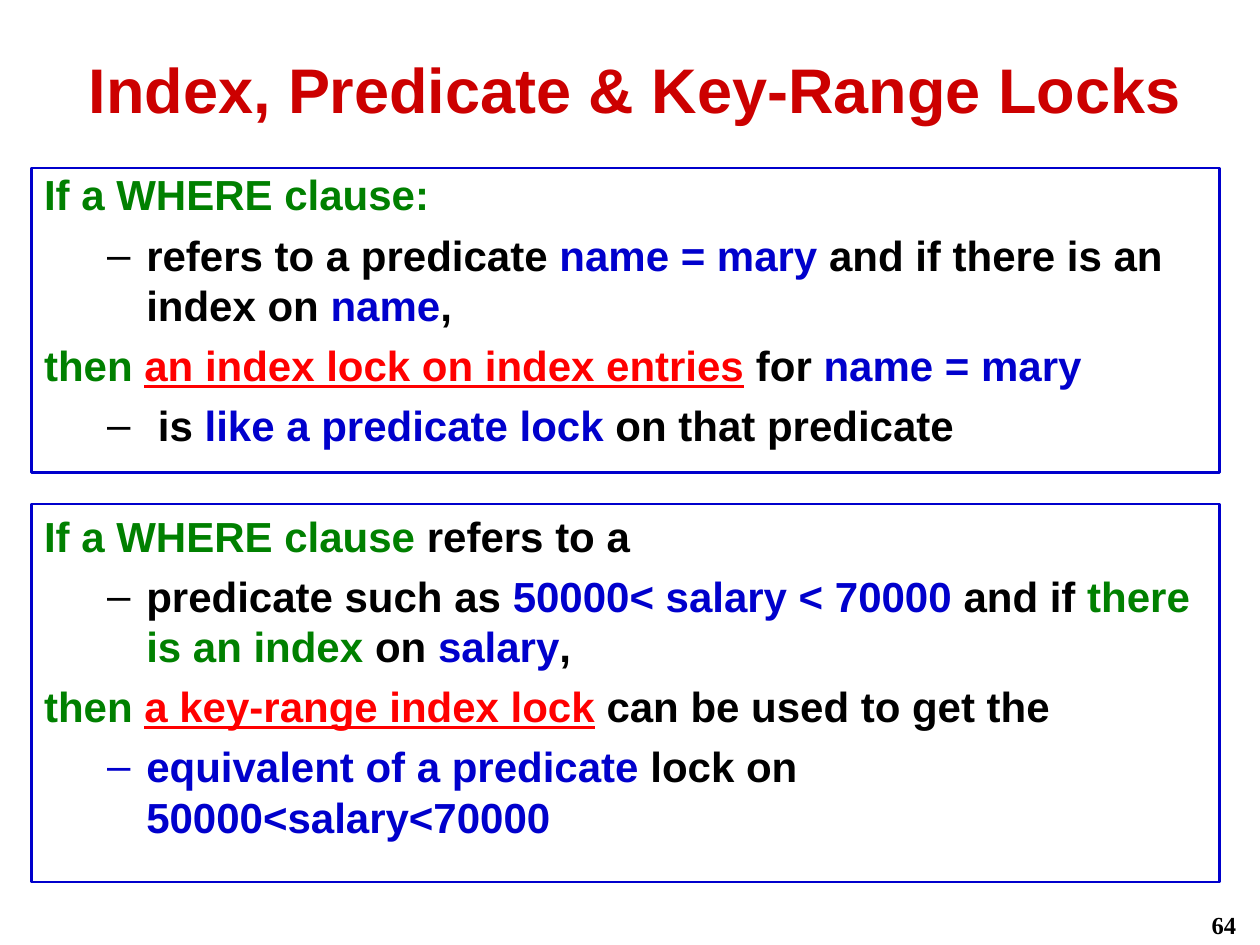
from lxml import etree
from pptx import Presentation
from pptx.dml.color import RGBColor
from pptx.enum.shapes import MSO_SHAPE
from pptx.enum.text import MSO_ANCHOR, PP_ALIGN
from pptx.oxml.ns import qn
from pptx.util import Cm, Pt

RECT = MSO_SHAPE.RECTANGLE
TOP, MIDDLE = MSO_ANCHOR.TOP, MSO_ANCHOR.MIDDLE
LEFT, CENTER, RIGHT = PP_ALIGN.LEFT, PP_ALIGN.CENTER, PP_ALIGN.RIGHT

THEME = {
    "title": {"name": "Arial", "size": Pt(36), "bold": True},
    "body": {"name": "Arial", "size": Pt(24), "bold": True},
    "page": {"name": "Times New Roman", "size": Pt(14), "bold": True},
    "crimson": "CC0000", "green": "008000", "blue": "0000CC",
    "red": "FF0000", "black": "000000",
    "gap": Pt(5.5), "line": Pt(1.5),
}

TITLE = "Index, Predicate & Key-Range Locks"
PAGE = "64"

# Each paragraph: level, then (text, colour) runs; red runs are underlined.
INDEX = [
    (0, [("If a WHERE clause:", "green")]),
    (1, [("refers to a predicate ", "black"), ("name = mary", "blue"),
         (" and if there is an index on", "black"), (" name", "blue"),
         (",", "black")]),
    (0, [("then ", "green"), ("an index lock on index entries", "red"),
         (" for ", "black"), ("name = mary", "blue")]),
    (1, [(" is ", "black"), ("like a predicate lock", "blue"),
         (" on that predicate", "black")]),
]
RANGE = [
    (0, [("If a WHERE clause", "green"), (" refers to a", "black")]),
    (1, [("predicate such as ", "black"), ("50000< salary < 70000", "blue"),
         (" and if ", "black"), ("there is an index", "green"),
         (" on ", "black"), ("salary", "blue"), (",", "black")]),
    (0, [("then ", "green"), ("a key-range index lock", "red"),
         (" can be used to get the", "black")]),
    (1, [("equivalent of a predicate", "blue"), (" lock on ", "black"),
         ("50000<salary<70000", "blue")]),
]

# Top, height and first-line spacing of each panel
PANELS = [(INDEX, 3.39, 6.14, 0.9), (RANGE, 10.16, 7.62, 1.0)]
# Left margin and first-line indent by level
INDENTS = [(0.95, -0.95), (2.06, -0.79)]


def tint(name):
    return RGBColor.from_string(THEME[name])


def style(font, kind, hue):
    for key, value in THEME[kind].items():
        setattr(font, key, value)
    font.color.rgb = tint(hue)


def frame(shape, anchor):
    box = shape.text_frame
    form = {"word_wrap": True, "vertical_anchor": anchor,
            "margin_left": Cm(0.25), "margin_right": Cm(0.25),
            "margin_top": Cm(0.13), "margin_bottom": Cm(0.13)}
    for key, value in form.items():
        setattr(box, key, value)
    return box


def label(shape, text, kind, hue, align, anchor):
    """Fill a shape with one line of text."""
    para = frame(shape, anchor).paragraphs[0]
    para.alignment = align
    run = para.add_run()
    run.text = text
    style(run.font, kind, hue)


def indent(para, level):
    left, first = INDENTS[level]
    props = para._p.get_or_add_pPr()
    props.set("marL", str(Cm(left)))
    props.set("indent", str(Cm(first)))
    if level:
        etree.SubElement(props, qn("a:buFont"), typeface="Arial")
        etree.SubElement(props, qn("a:buChar"), char="–")
    else:
        etree.SubElement(props, qn("a:buNone"))


def panel(slide, paras, top, height, lead):
    shape = slide.shapes.add_shape(RECT, Cm(0.64), Cm(top), Cm(23.95), Cm(height))
    shape.shadow.inherit = False
    shape.fill.background()
    shape.line.color.rgb = tint("blue")
    shape.line.width = THEME["line"]
    box = frame(shape, TOP)
    for n, (level, runs) in enumerate(paras):
        para = box.add_paragraph() if n else box.paragraphs[0]
        para.level = level
        para.alignment = LEFT
        indent(para, level)
        if n:
            para.space_before = THEME["gap"]
        else:
            para.line_spacing = lead
        style(para.font, "body", runs[0][1])
        for text, hue in runs:
            run = para.add_run()
            run.text = text
            style(run.font, "body", hue)
            if hue == "red":
                run.font.underline = True


def main():
    deck = Presentation()
    deck.slide_width, deck.slide_height = Cm(25.4), Cm(19.05)
    slide = deck.slides.add_slide(deck.slide_layouts[5])

    title = slide.shapes.title
    title.left, title.top = Cm(1.47), Cm(0.84)
    title.width, title.height = Cm(22.66), Cm(1.9)
    label(title, TITLE, "title", "crimson", CENTER, MIDDLE)

    for paras, top, height, lead in PANELS:
        panel(slide, paras, top, height, lead)

    page = slide.shapes.add_textbox(Cm(19.89), Cm(18.21), Cm(5.28), Cm(0.64))
    label(page, PAGE, "page", "black", RIGHT, TOP)
    deck.save("out.pptx")


if __name__ == "__main__":
    main()
